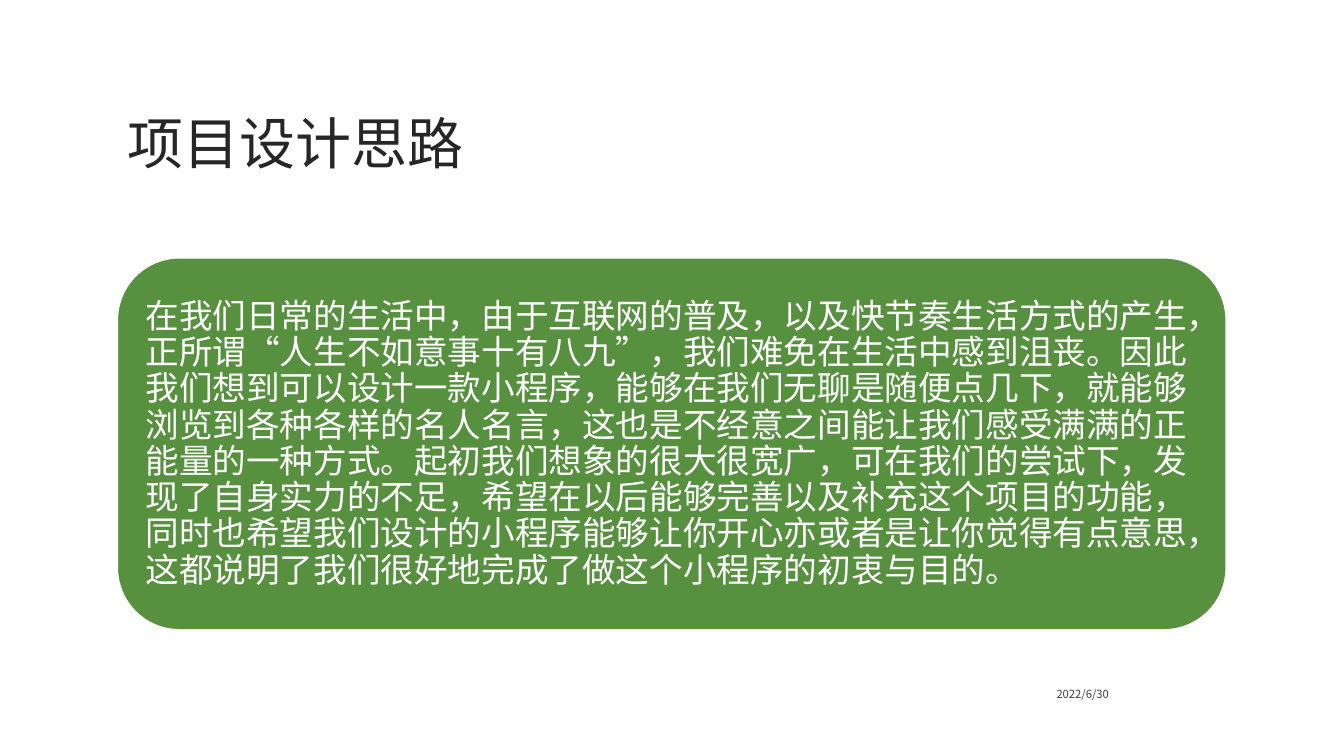
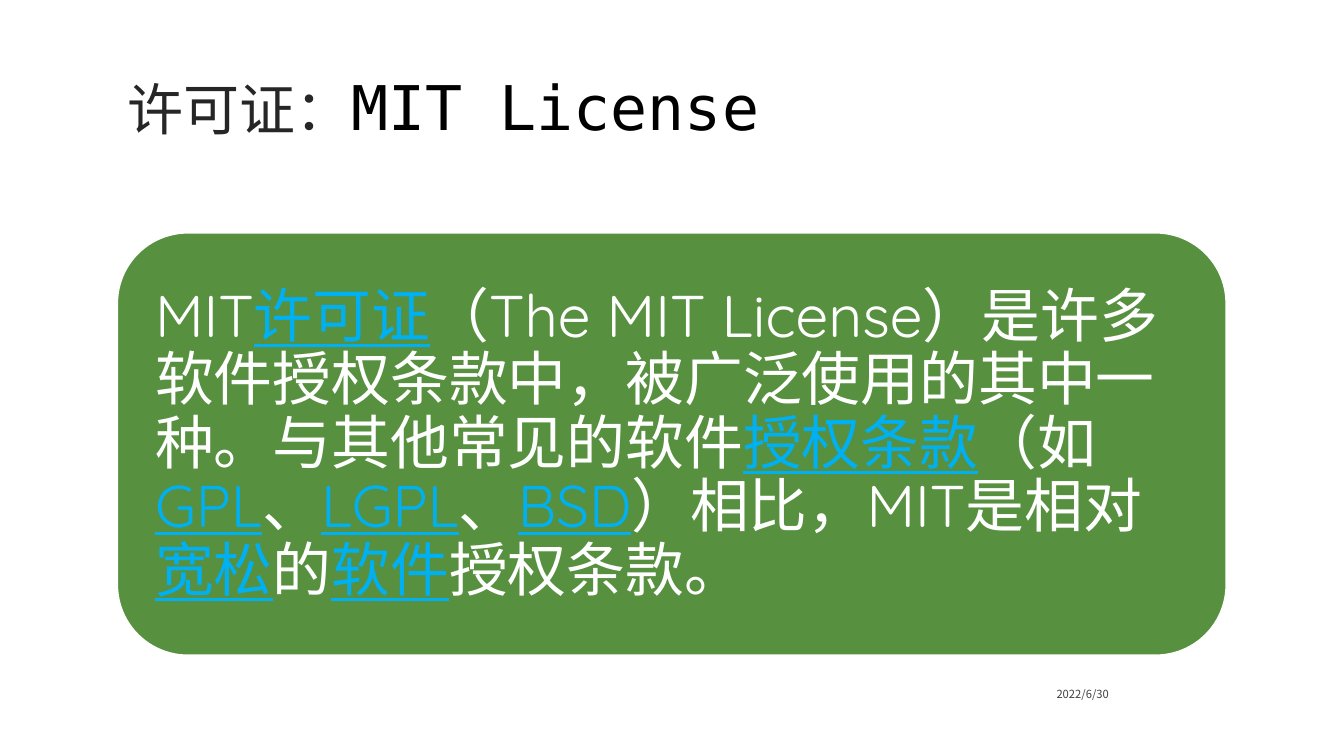
from lxml.etree import SubElement
from pptx import Presentation
from pptx.dml.color import RGBColor
from pptx.enum.shapes import MSO_SHAPE as Shape
from pptx.enum.text import MSO_ANCHOR as Anchor, MSO_AUTO_SIZE as AutoSize, PP_ALIGN as Align
from pptx.oxml.ns import qn
from pptx.util import Cm, Pt

WHITE = RGBColor(0xFF, 0xFF, 0xFF)
BLACK = RGBColor(0, 0, 0)
GREEN = RGBColor(0x57, 0x90, 0x3F)
SKY = RGBColor(0x00, 0xB0, 0xF0)
DARK = RGBColor(0x26, 0x26, 0x26)
GREY = RGBColor(0x40, 0x40, 0x40)

CJK_FONT = "Noto Sans CJK SC"
BODY_FONT = "Quicksand"
MONO_FONT = "DejaVu Sans Mono"
LEFT, WIDTH = Cm(2.96), Cm(27.94)
TERM = {"color": SKY, "underline": True}


def add_text(paragraph, text, *, size, color, font=CJK_FONT, underline=False):
    """Append one formatted run to a paragraph."""
    run = paragraph.add_run()
    run.text = text
    run.font.size = Pt(size)
    run.font.name = font
    run.font.color.rgb = color
    run.font.underline = underline
    east_asian = SubElement(run.font._element, qn("a:ea"))
    east_asian.set("typeface", CJK_FONT)


class Deck:
    """Holds the shared style and the current slide."""

    def __init__(self):
        self.presentation = Presentation()
        self.presentation.slide_width = Cm(33.87)
        self.presentation.slide_height = Cm(19.05)
        self.slide = None

    def new_slide(self):
        layout = self.presentation.slide_layouts.get_by_name("Title Only")
        self.slide = self.presentation.slides.add_slide(layout)

    def frame(self, shape, anchor, align, spacing, margin=None):
        """Set up a text frame and return its first paragraph."""
        frame = shape.text_frame
        frame.word_wrap = True
        frame.auto_size = AutoSize.NONE
        frame.vertical_anchor = anchor
        if margin is not None:
            frame.margin_left = frame.margin_right = margin
            frame.margin_top = frame.margin_bottom = margin
        paragraph = frame.paragraphs[0]
        paragraph.alignment = align
        paragraph.line_spacing = spacing
        return paragraph

    def title(self, runs, height):
        title = self.slide.shapes.title
        title.left, title.top, title.width, title.height = LEFT, Cm(1.78), WIDTH, height
        paragraph = self.frame(title, Anchor.MIDDLE, Align.LEFT, 0.9)
        for text, changes in runs:
            add_text(paragraph, text, **{"size": 40, "color": DARK, **changes})

    def panel(self, runs, top, height, size, margin):
        panel = self.slide.shapes.add_shape(Shape.ROUNDED_RECTANGLE, LEFT, top, WIDTH, height)
        panel.shadow.inherit = False
        panel.fill.solid()
        panel.fill.fore_color.rgb = GREEN
        panel.line.color.rgb = WHITE
        panel.line.width = Pt(1)
        paragraph = self.frame(panel, Anchor.MIDDLE, Align.LEFT, Pt(size * 1.08), margin)
        for text, changes in runs:
            add_text(paragraph, text,
                     **{"size": size, "color": WHITE, "font": BODY_FONT, **changes})

    def date(self, text):
        box = self.slide.shapes.add_textbox(Cm(20.17), Cm(16.76), Cm(8.03), Cm(1.02))
        paragraph = self.frame(box, Anchor.BOTTOM, Align.RIGHT, 1.0)
        add_text(paragraph, text, size=8, color=GREY)


IDEA = (
    "在我们日常的生活中，由于互联网的普及，以及快节奏生活方式的产生，"
    "正所谓“人生不如意事十有八九”，我们难免在生活中感到沮丧。"
    "因此我们想到可以设计一款小程序，能够在我们无聊是随便点几下，"
    "就能够浏览到各种各样的名人名言，这也是不经意之间能让我们感受满满的正能量的一种方式。"
    "起初我们想象的很大很宽广，可在我们的尝试下，发现了自身实力的不足，"
    "希望在以后能够完善以及补充这个项目的功能，"
    "同时也希望我们设计的小程序能够让你开心亦或者是让你觉得有点意思，"
    "这都说明了我们很好地完成了做这个小程序的初衷与目的。"
)

LICENSE = [
    ("MIT", {}), ("许可证", TERM),
    ("（The MIT License）是许多软件授权条款中，被广泛使用的其中一种。与其他常见的软件", {}),
    ("授权条款", TERM), ("（如", {}),
    ("GPL", TERM), ("、", {}), ("LGPL", TERM), ("、", {}), ("BSD", TERM),
    ("）相比，MIT是相对", {}), ("宽松", TERM), ("的", {}), ("软件", TERM),
    ("授权条款。", {}),
]

# Title runs, title height, panel runs, panel top, panel height, text size, margin
SLIDES = [
    ([("项目设计思路", {})], Cm(3.81),
     [(IDEA, {})], Cm(6.5), Cm(9.37), 24, Cm(0.25)),
    ([("许可证：", {}), ("MIT License", {"size": 44, "color": BLACK, "font": MONO_FONT})],
     Cm(2), LICENSE, Cm(5.87), Cm(10.64), 42, Cm(0.43)),
]


def main():
    deck = Deck()
    for title_runs, title_height, panel_runs, top, height, size, margin in SLIDES:
        deck.new_slide()
        deck.title(title_runs, title_height)
        deck.panel(panel_runs, top, height, size, margin)
        deck.date("2022/6/30")
    deck.presentation.save("out.pptx")


if __name__ == "__main__":
    main()
